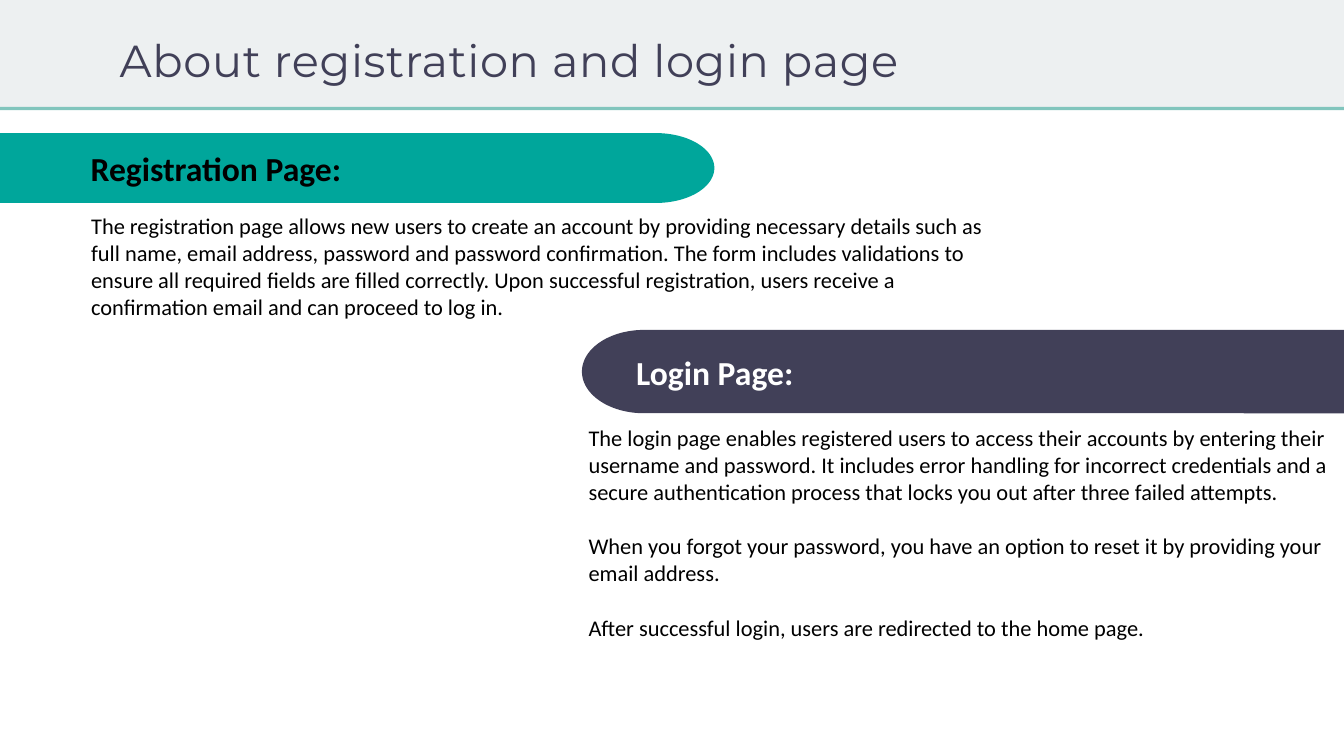
import math
from dataclasses import dataclass

from pptx import Presentation
from pptx.dml.color import RGBColor
from pptx.enum.shapes import MSO_SHAPE
from pptx.enum.text import MSO_ANCHOR, MSO_AUTO_SIZE, PP_ALIGN
from pptx.util import Pt

RECTANGLE = MSO_SHAPE.RECTANGLE
TOP = MSO_ANCHOR.TOP
LEFT = PP_ALIGN.LEFT
NO_AUTOFIT = MSO_AUTO_SIZE.NONE

BLACK = RGBColor(0x00, 0x00, 0x00)
WHITE = RGBColor(0xFF, 0xFF, 0xFF)
PALE_GREY = RGBColor(0xED, 0xF0, 0xF1)
SOFT_TEAL = RGBColor(0x81, 0xC5, 0xBD)
TEAL = RGBColor(0x00, 0xA6, 0x9B)
INDIGO = RGBColor(0x41, 0x40, 0x58)

SLIDE_WIDTH, SLIDE_HEIGHT = 1440, 810
HEADER_HEIGHT, RULE_HEIGHT = 114.5, 3.6
TITLE_ONLY = 5
CURVE_STEPS = 48
BODY_GAP = 29.3


@dataclass(frozen=True)
class Box:
    left: float
    top: float
    width: float
    height: float


@dataclass(frozen=True)
class Banner:
    """A band from a slide edge to a rounded tip."""
    edge: float
    tip: float
    top: float
    height: float
    tip_depth: float
    color: RGBColor


@dataclass(frozen=True)
class Section:
    banner: Banner
    heading: str
    heading_box: Box
    heading_color: RGBColor
    body: tuple[str, ...]
    body_box: Box


SECTIONS = (
    Section(
        Banner(0, 765.4, 142.6, 74.9, 62.6, TEAL),
        "Registration Page:", Box(90, 154.8, 385.2, 51.1), BLACK,
        ("The registration page allows new users to create an account by "
         "providing necessary details such as full name, email address, "
         "password and password confirmation. The form includes validations "
         "to ensure all required fields are filled correctly. Upon successful "
         "registration, users receive a confirmation email and can proceed "
         "to log in.",),
        Box(90.5, 223.7, 998, 123.3),
    ),
    Section(
        Banner(SLIDE_WIDTH, 623.5, 353.5, 89.3, 66.5, INDIGO),
        "Login Page:", Box(674.6, 373, 198, 51.1), WHITE,
        ("The login page enables registered users to access their accounts by "
         "entering their username and password. It includes error handling "
         "for incorrect credentials and a secure authentication process that "
         "locks you out after three failed attempts.",
         "When you forgot your password, you have an option to reset it by "
         "providing your email address.",
         "After successful login, users are redirected to the home page."),
        Box(623.5, 451.3, 837.4, 240),
    ),
)


def paint(shape, color: RGBColor) -> None:
    shape.fill.solid()
    shape.fill.fore_color.rgb = color
    shape.line.fill.background()
    shape.shadow.inherit = False


def add_strip(slide, top: float, height: float, color: RGBColor) -> None:
    strip = slide.shapes.add_shape(
        RECTANGLE, 0, Pt(top), Pt(SLIDE_WIDTH), Pt(height))
    paint(strip, color)


def add_banner(slide, banner: Banner) -> None:
    direction = 1 if banner.tip > banner.edge else -1
    radius = banner.height / 2
    center_x = banner.tip - direction * banner.tip_depth
    center_y = banner.top + radius
    angles = [math.pi * (step / CURVE_STEPS - 0.5)
              for step in range(CURVE_STEPS + 1)]
    curve = [(Pt(center_x + direction * banner.tip_depth * math.cos(angle)),
              Pt(center_y + radius * math.sin(angle))) for angle in angles]
    builder = slide.shapes.build_freeform(Pt(banner.edge), Pt(banner.top))
    builder.add_line_segments(
        [*curve, (Pt(banner.edge), Pt(banner.top + banner.height))])
    paint(builder.convert_to_shape(), banner.color)


def add_text(slide, box: Box, paragraphs: tuple[str, ...], size: float,
             color: RGBColor, bold: bool = False) -> None:
    text_box = slide.shapes.add_textbox(
        Pt(box.left), Pt(box.top), Pt(box.width), Pt(box.height))
    frame = text_box.text_frame
    frame.word_wrap = True
    frame.text = "\n".join(paragraphs)
    for index, paragraph in enumerate(frame.paragraphs):
        paragraph.font.name = "Calibri"
        paragraph.font.size = Pt(size)
        paragraph.font.bold = bold
        paragraph.font.color.rgb = color
        if index:
            paragraph.space_before = Pt(BODY_GAP)


def format_title(slide, text: str) -> None:
    title = slide.shapes.title
    title.left, title.top = Pt(128.2), Pt(25.2)
    title.width, title.height = Pt(892), Pt(127.4)
    frame = title.text_frame
    frame.margin_left = frame.margin_right = 0
    frame.margin_top = frame.margin_bottom = 0
    frame.vertical_anchor = TOP
    frame.auto_size = NO_AUTOFIT
    frame.word_wrap = True
    frame.text = text
    paragraph = frame.paragraphs[0]
    paragraph.alignment = LEFT
    paragraph.line_spacing = Pt(67.2)
    paragraph.font.name = "Montserrat"
    paragraph.font.size = Pt(48)
    paragraph.font.color.rgb = INDIGO
    paragraph.runs[0]._r.get_or_add_rPr().set("spc", "70")
    # Appending again lifts the title above the header strip.
    title.element.getparent().append(title.element)


def main() -> None:
    presentation = Presentation()
    presentation.slide_width = Pt(SLIDE_WIDTH)
    presentation.slide_height = Pt(SLIDE_HEIGHT)
    slide = presentation.slides.add_slide(
        presentation.slide_layouts[TITLE_ONLY])

    add_strip(slide, 0, HEADER_HEIGHT, PALE_GREY)
    add_strip(slide, HEADER_HEIGHT, RULE_HEIGHT, SOFT_TEAL)
    format_title(slide, "About registration and login page")
    for section in SECTIONS:
        add_banner(slide, section.banner)
        add_text(slide, section.heading_box, (section.heading,), 36,
                 section.heading_color, bold=True)
        add_text(slide, section.body_box, section.body, 24, BLACK)

    presentation.save("out.pptx")


if __name__ == "__main__":
    main()
